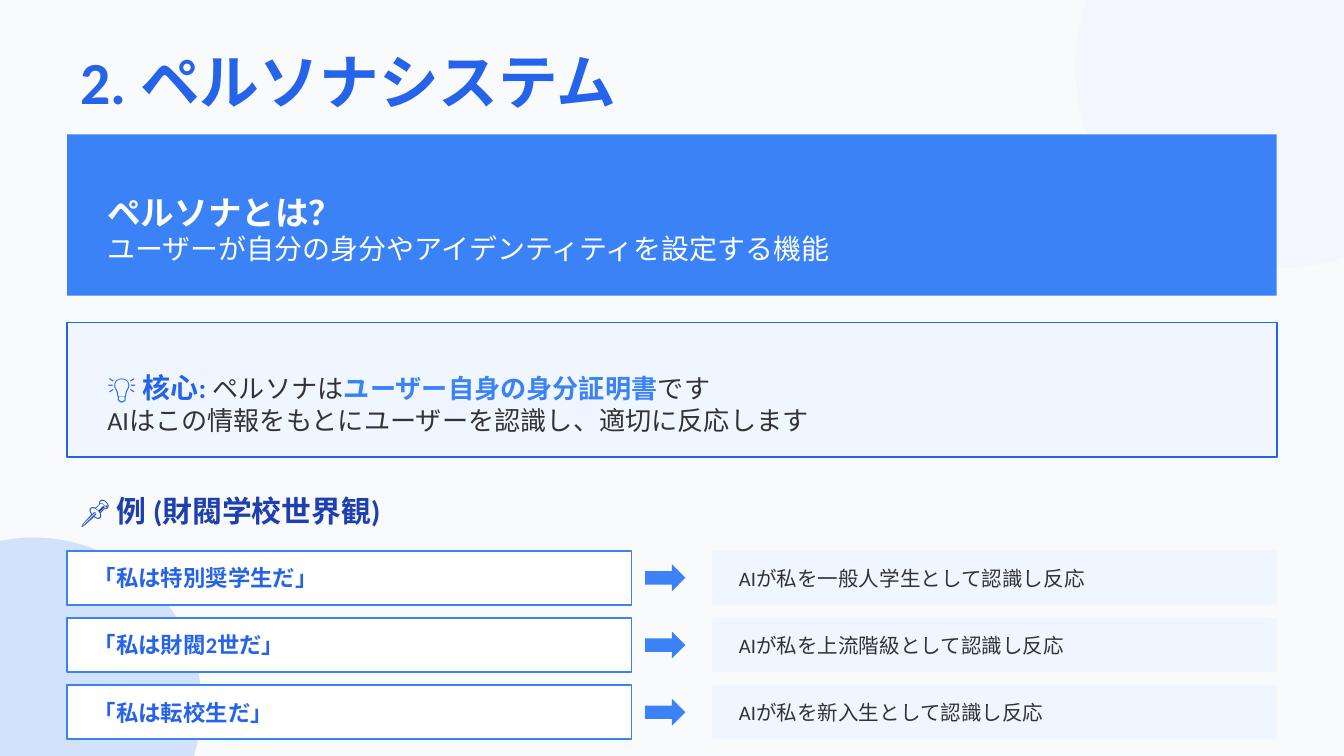
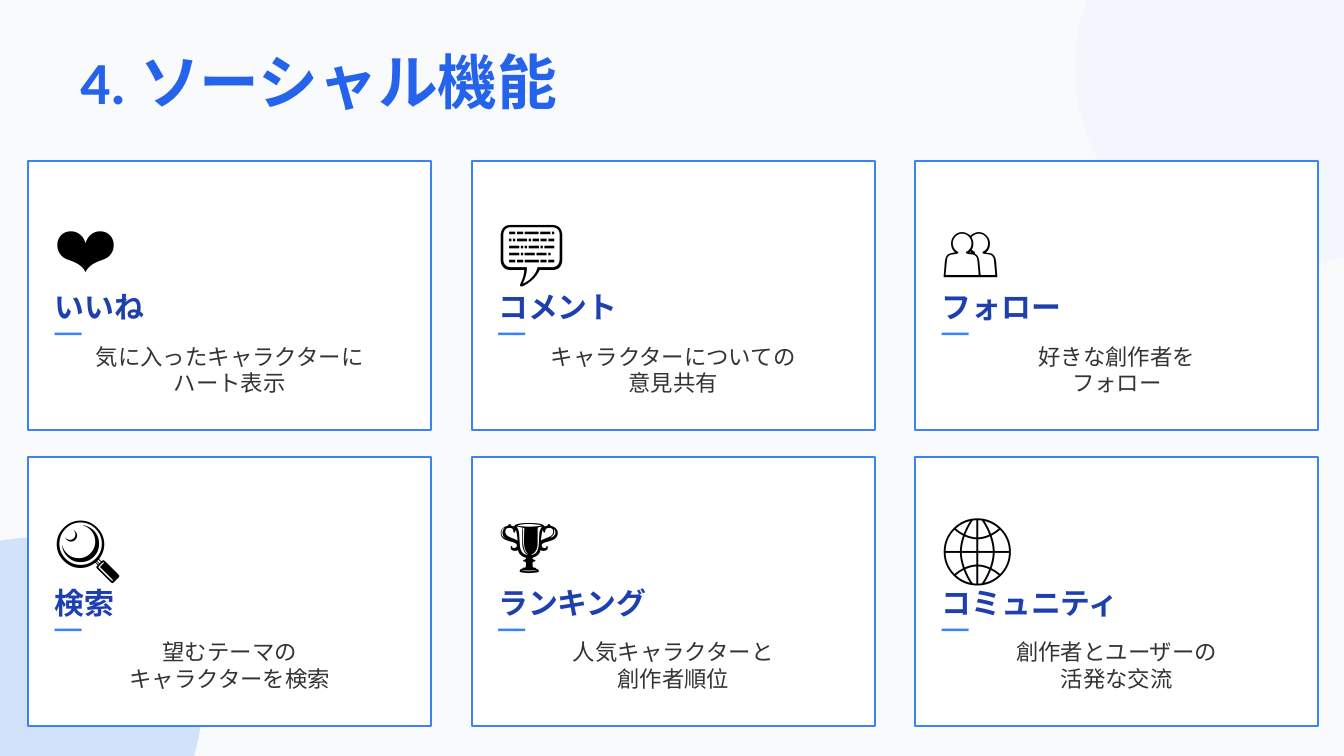
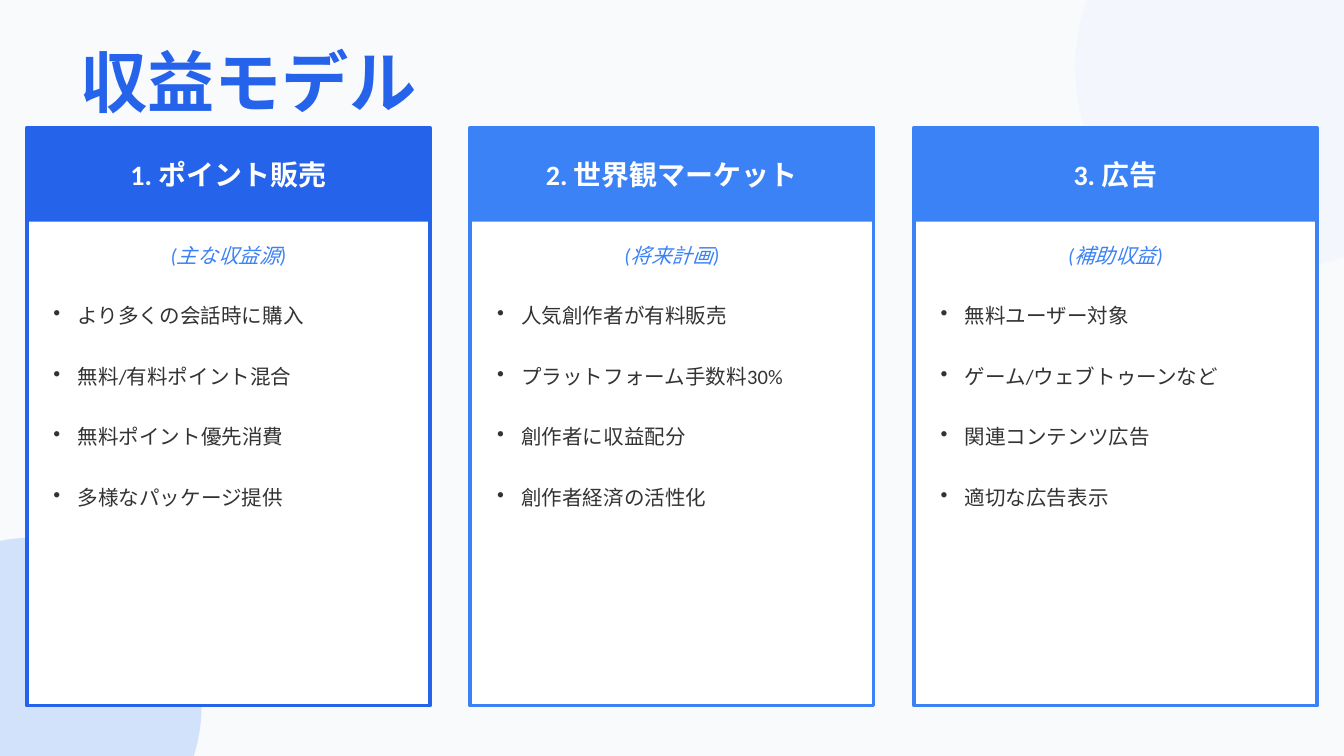
"""Build three slides on the persona system, social features and revenue model."""
from dataclasses import dataclass

from lxml.etree import SubElement
from pptx import Presentation
from pptx.dml.color import RGBColor
from pptx.enum.shapes import MSO_SHAPE as Shape
from pptx.enum.text import MSO_ANCHOR as Anchor, PP_ALIGN as Align
from pptx.oxml.ns import qn
from pptx.util import Emu, Pt

EMU_PER_PX = 4572


@dataclass(frozen=True)
class Theme:
    """Colours, font and type sizes of the deck."""
    font: str = "Calibri"
    canvas: str = "F8FAFC"
    white: str = "FFFFFF"
    black: str = "000000"
    ink: str = "333333"
    pale: str = "EFF6FF"
    sky: str = "3B82F6"
    blue: str = "2563EB"
    navy: str = "1E40AF"
    icon: int = 36
    title: int = 32
    lead: int = 18
    heading: int = 16
    body: int = 15
    note: int = 14
    label: int = 12
    small: int = 11
    rule: int = 8


THEME = Theme()


@dataclass(frozen=True)
class Style:
    """Look of one span of text."""
    size: int
    color: str
    bold: bool = False
    italic: bool = False


def px(length):
    """Turn px into EMU."""
    return Emu(length * EMU_PER_PX)


def add_box(page, area, fill, line=None, width=1, kind=Shape.RECTANGLE, alpha=None):
    """Add a filled shape, outlined or see-through on request."""
    box = page.shapes.add_shape(kind, *map(px, area))
    box.shadow.inherit = False
    box.fill.solid()
    box.fill.fore_color.rgb = RGBColor.from_string(fill)
    if alpha is not None:
        color = box.fill._xPr.find(".//" + qn("a:srgbClr"))
        SubElement(color, qn("a:alpha"), val=str(alpha * 1000))
    if line:
        box.line.color.rgb = RGBColor.from_string(line)
        box.line.width = Pt(width)
    else:
        box.line.fill.background()


def style_span(span, style):
    """Apply a style to one run."""
    span.font.name = THEME.font
    span.font.size = Pt(style.size)
    span.font.bold = style.bold
    span.font.italic = style.italic
    span.font.color.rgb = RGBColor.from_string(style.color)


def add_text(page, area, *lines):
    """Add a text box; each line is an alignment followed by (text, style) spans."""
    frame = page.shapes.add_textbox(*map(px, area)).text_frame
    frame.word_wrap = True
    frame.vertical_anchor = Anchor.MIDDLE
    for index, (align, *spans) in enumerate(lines):
        para = frame.add_paragraph() if index else frame.paragraphs[0]
        para.alignment = align
        for text, style in spans:
            span = para.add_run()
            span.text = text
            style_span(span, style)
    return frame


def add_bullet(page, area, text):
    """Add one bulleted line."""
    frame = add_text(page, area, (Align.LEFT, (text, Style(THEME.small, THEME.ink))))
    properties = frame.paragraphs[0]._p.get_or_add_pPr()
    properties.set("marL", str(px(36)))
    properties.set("indent", str(px(-36)))
    SubElement(properties, qn("a:buChar"), char="•")


def add_page(deck, title, size=THEME.title):
    """Add a blank slide with the shared backdrop and title."""
    page = deck.slides.add_slide(deck.slide_layouts[6])
    add_box(page, (0, 0, 2000, 1125), THEME.canvas)
    add_box(page, (1600, -200, 600, 600), THEME.pale, kind=Shape.OVAL, alpha=50)
    add_box(page, (-200, 800, 500, 500), THEME.sky, kind=Shape.OVAL, alpha=20)
    add_text(page, (100, 60, 1800, 120), (Align.LEFT, (title, Style(size, THEME.blue, True))))
    return page


def add_example(page, top, claim, reaction):
    """Add a claim, an arrow and the reaction to it."""
    add_box(page, (100, top, 840, 80), THEME.white, THEME.sky)
    add_text(page, (120, top + 10, 800, 60),
             (Align.LEFT, (claim, Style(THEME.label, THEME.blue, True))))
    add_box(page, (960, top + 20, 60, 40), THEME.sky, kind=Shape.RIGHT_ARROW)
    add_box(page, (1060, top, 840, 80), THEME.pale)
    add_text(page, (1080, top + 10, 800, 60),
             (Align.LEFT, (reaction, Style(THEME.small, THEME.ink))))


def add_feature(page, left, top, icon, name, *details):
    """Add a card with an icon, a name, a short rule and details."""
    add_box(page, (left, top, 600, 400), THEME.white, THEME.sky)
    detail_style = Style(THEME.label, THEME.ink)
    add_text(page, (left + 20, top + 20, 560, 380),
             (Align.LEFT, (icon, Style(THEME.icon, THEME.black))),
             (Align.LEFT, (name, Style(THEME.heading, THEME.navy, True))),
             (Align.LEFT, ("━━━", Style(THEME.rule, THEME.sky))),
             *((Align.CENTER, (detail, detail_style)) for detail in details))


def add_revenue(page, left, color, name, role, points):
    """Add a column with a header band, a role and bullet points."""
    add_box(page, (left, 190, 600, 860), THEME.white, color, 2)
    add_box(page, (left, 190, 600, 140), color)
    add_text(page, (left + 20, 220, 560, 80),
             (Align.CENTER, (name, Style(THEME.body, THEME.white, True))))
    add_text(page, (left + 20, 350, 560, 60),
             (Align.CENTER, (role, Style(THEME.small, THEME.sky, italic=True))))
    for row, point in enumerate(points):
        add_bullet(page, (left + 20, 430 + 90 * row, 560, 80), point)


def build_persona(deck):
    """Build the persona system slide."""
    page = add_page(deck, "2. ペルソナシステム")
    add_box(page, (100, 200, 1800, 240), THEME.sky)
    add_text(page, (140, 240, 1720, 200),
             (Align.LEFT, ("ペルソナとは？", Style(THEME.lead, THEME.white, True))),
             (Align.LEFT, ("ユーザーが自分の身分やアイデンティティを設定する機能",
                           Style(THEME.body, THEME.white))))
    add_box(page, (100, 480, 1800, 200), THEME.pale, THEME.blue)
    plain = Style(THEME.note, THEME.ink)
    add_text(page, (140, 520, 1720, 160),
             (Align.LEFT,
              ("💡 核心: ", Style(THEME.body, THEME.blue, True)),
              ("ペルソナは", plain),
              ("ユーザー自身の身分証明書", Style(THEME.note, THEME.sky, True)),
              ("です", plain)),
             (Align.LEFT, ("AIはこの情報をもとにユーザーを認識し、適切に反応します", plain)))
    add_text(page, (100, 720, 1800, 80),
             (Align.LEFT, ("📌 例 (財閥学校世界観)", Style(THEME.heading, THEME.navy, True))))
    examples = [
        ("「私は特別奨学生だ」", "AIが私を一般人学生として認識し反応"),
        ("「私は財閥2世だ」", "AIが私を上流階級として認識し反応"),
        ("「私は転校生だ」", "AIが私を新入生として認識し反応"),
    ]
    for row, example in enumerate(examples):
        add_example(page, 820 + 100 * row, *example)


def build_social(deck):
    """Build the social features slide."""
    page = add_page(deck, "4. ソーシャル機能")
    features = [
        ("❤️", "いいね", "気に入ったキャラクターに", "ハート表示"),
        ("💬", "コメント", "キャラクターについての", "意見共有"),
        ("👥", "フォロー", "好きな創作者を", "フォロー"),
        ("🔍", "検索", "望むテーマの", "キャラクターを検索"),
        ("🏆", "ランキング", "人気キャラクターと", "創作者順位"),
        ("🌐", "コミュニティ", "創作者とユーザーの", "活発な交流"),
    ]
    for index, feature in enumerate(features):
        row, column = divmod(index, 3)
        add_feature(page, 42 + 660 * column, 240 + 440 * row, *feature)


def build_revenue(deck):
    """Build the revenue model slide."""
    page = add_page(deck, "収益モデル", THEME.icon)
    models = [
        (THEME.blue, "1. ポイント販売", "(主な収益源)",
         ["より多くの会話時に購入", "無料/有料ポイント混合",
          "無料ポイント優先消費", "多様なパッケージ提供"]),
        (THEME.sky, "2. 世界観マーケット", "(将来計画)",
         ["人気創作者が有料販売", "プラットフォーム手数料30%",
          "創作者に収益配分", "創作者経済の活性化"]),
        (THEME.sky, "3. 広告", "(補助収益)",
         ["無料ユーザー対象", "ゲーム/ウェブトゥーンなど",
          "関連コンテンツ広告", "適切な広告表示"]),
    ]
    for column, model in enumerate(models):
        add_revenue(page, 40 + 660 * column, *model)


def main():
    """Build and save the deck."""
    deck = Presentation()
    deck.slide_width, deck.slide_height = px(2000), px(1125)
    build_persona(deck)
    build_social(deck)
    build_revenue(deck)
    deck.save("out.pptx")


if __name__ == "__main__":
    main()
